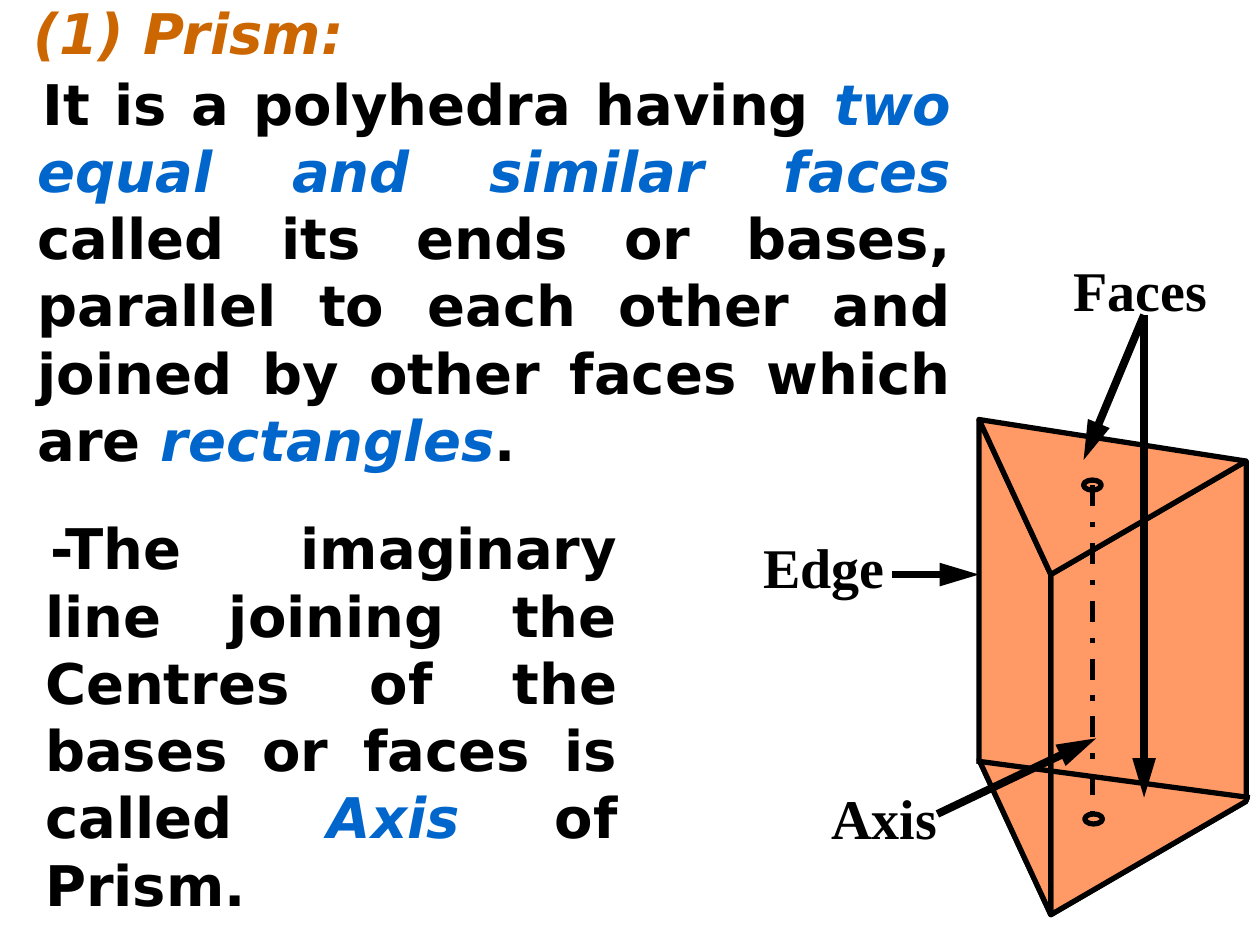
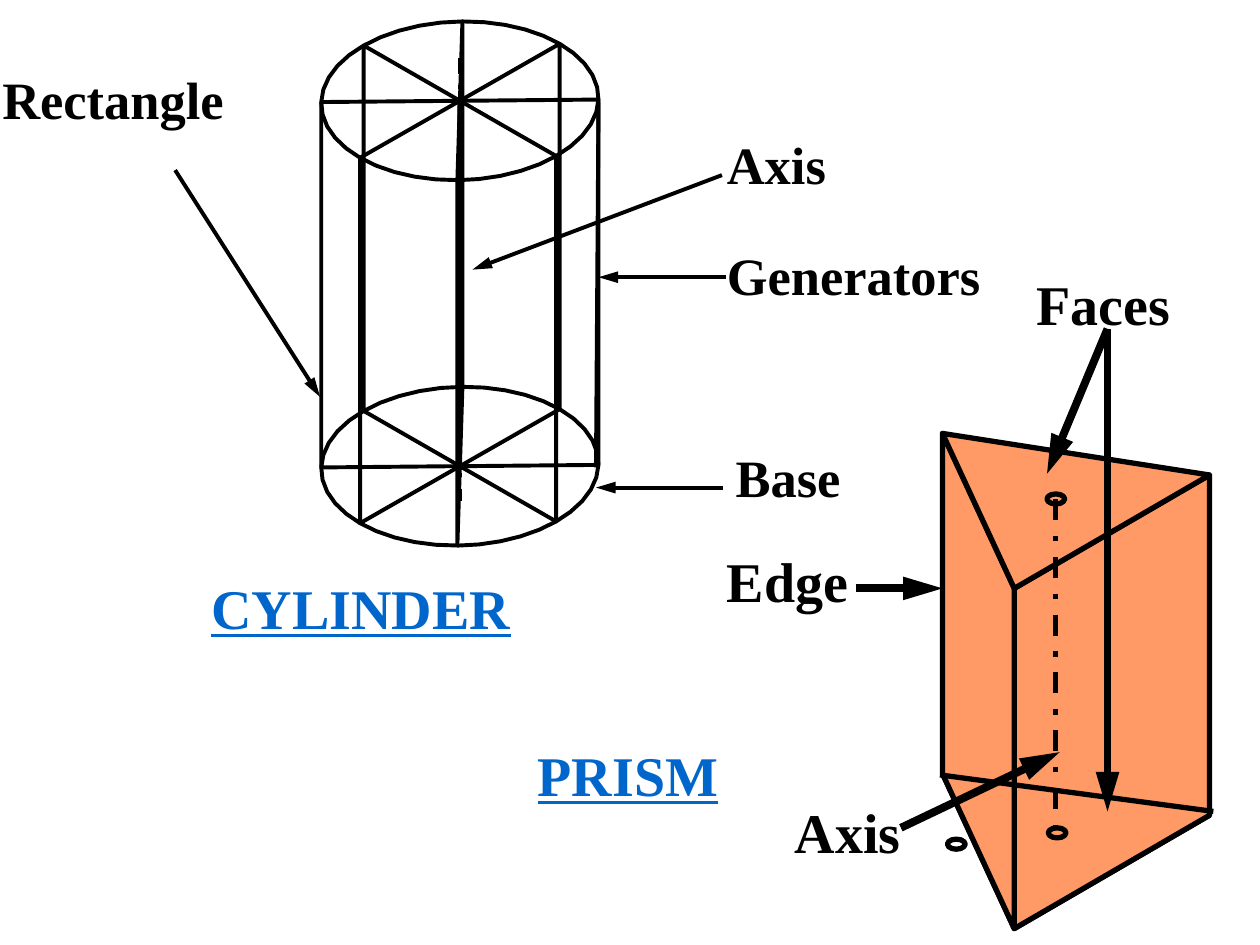
import math

import lxml.etree
import pptx
import pptx.dml.color
import pptx.enum.dml
import pptx.enum.shapes
import pptx.enum.text
import pptx.oxml.ns
import pptx.util

Inches, Pt = pptx.util.Inches, pptx.util.Pt
qn = pptx.oxml.ns.qn

# Shared look
BLACK, BLUE, BROWN, ORANGE = "000000", "0066CC", "CC6600", "FF9966"
BODY_FONT, LABEL_FONT = "DejaVu Sans", "Times New Roman"
THICK, MEDIUM, THIN = 4.5, 3, 2.25

# Cylinder geometry: centre of the top rim, its two half axes, and the height
CENTRE = (3.65, 0.8)
HALF_WIDE, HALF_DEEP = (1.1, -0.01), (-0.02, 0.63)
HEIGHT = 2.9


def color(hex_text):
    return pptx.dml.color.RGBColor.from_string(hex_text)


def add_text(s, x, y, w, h, runs, size=32, font=LABEL_FONT, fill=BLACK,
             underline=None, justify=False, indent=None):
    """Runs are plain strings, or (text, color) pairs for italic emphasis."""
    tf = s.shapes.add_textbox(Inches(x), Inches(y), Inches(w), Inches(h)).text_frame
    tf.word_wrap = True
    p = tf.paragraphs[0]
    if justify:
        p.alignment = pptx.enum.text.PP_ALIGN.JUSTIFY
    if indent:
        margin, first = indent
        p_pr = p._p.get_or_add_pPr()
        p_pr.set("marL", str(Inches(margin)))
        p_pr.set("indent", str(Inches(first)))
    for run in [runs] if isinstance(runs, str) else runs:
        emphasis = isinstance(run, tuple)
        text, run_color = run if emphasis else (run, fill)
        r = p.add_run()
        r.text = text
        r.font.name, r.font.size = font, Pt(size)
        r.font.bold, r.font.italic, r.font.underline = True, emphasis, underline
        r.font.color.rgb = color(run_color)


def add_body(s, x, y, w, h, runs, indent=(0.38, 0.04)):
    add_text(s, x, y, w, h, runs, font=BODY_FONT, justify=True, indent=indent)


def add_caption(s, x, y, w, text):
    add_text(s, x, y, w, 0.63, text, fill=BLUE, underline=True)


def outline(sp, width, fill=None):
    sp.shadow.inherit = False
    sp.line.color.rgb = color(BLACK)
    sp.line.width = Pt(width)
    if fill:
        sp.fill.solid()
        sp.fill.fore_color.rgb = color(fill)
    else:
        sp.fill.background()


def add_outline(s, points, width, fill=None, close=True):
    points = [(Inches(x), Inches(y)) for x, y in points]
    builder = s.shapes.build_freeform(*points[0], scale=1.0)
    builder.add_line_segments(points[1:], close=close)
    outline(builder.convert_to_shape(), width, fill)


def add_ring(s, x, y):
    oval = pptx.enum.shapes.MSO_SHAPE.OVAL
    sp = s.shapes.add_shape(oval, Inches(x), Inches(y), Inches(0.14), Inches(0.08))
    outline(sp, MEDIUM)


def add_line(s, start, end, width, arrow=False, dashed=False):
    straight = pptx.enum.shapes.MSO_CONNECTOR.STRAIGHT
    c = s.shapes.add_connector(straight, *map(Inches, start + end))
    c.line.color.rgb = color(BLACK)
    c.line.width = Pt(width)
    if dashed:
        c.line.dash_style = pptx.enum.dml.MSO_LINE.DASH_DOT
    if arrow:
        lxml.etree.SubElement(c.line._get_or_add_ln(), qn("a:tailEnd"),
                              type="triangle", w="med", len="lg")
    lxml.etree.SubElement(c._element.spPr, qn("a:effectLst"))


def add_prism(s, dx=0, dy=0):
    """Triangular prism with its labels, moved by (dx, dy)."""
    def at(x, y):
        return x + dx, y + dy

    top_left, top_right, top_front = at(7.77, 3.33), at(9.89, 3.66), at(8.34, 4.56)
    low_left, low_right, low_front = at(7.77, 6.03), at(9.89, 6.36), at(8.34, 7.26)
    for face in ((low_front, low_right, low_left),
                 (low_front, top_front, top_right, low_right),
                 (low_left, top_left, top_front, low_front),
                 (top_front, top_right, top_left)):
        add_outline(s, face, MEDIUM, ORANGE)

    # Axis with its end points, and the hidden edge
    add_ring(s, *at(8.6, 3.81))
    add_line(s, at(8.67, 3.85), at(8.67, 6.55), MEDIUM, dashed=True)
    add_line(s, at(7.75, 6.04), at(9.92, 6.33), MEDIUM)
    add_ring(s, *at(8.61, 6.46))

    # Labels and pointers
    for text, x, y, w in (("Axis", 6.5, 6.17, 1.17), ("Faces", 8.42, 1.98, 1.5),
                          ("Edge", 5.96, 4.18, 1.5)):
        add_text(s, *at(x, y), w, 0.63, text)
    for start, end in (((7.44, 6.46), (8.7, 5.86)), ((9.08, 2.5), (8.6, 3.65)),
                       ((9.08, 2.5), (9.08, 6.33)), ((7.08, 4.56), (7.77, 4.56))):
        add_line(s, at(*start), at(*end), THICK, arrow=True)


def rim(degrees, drop=0):
    """Point on the top rim, or on the bottom one when drop is the height."""
    cos, sin = math.cos(math.radians(degrees)), math.sin(math.radians(degrees))
    x, y = (c + cos * a + sin * b for c, a, b in zip(CENTRE, HALF_WIDE, HALF_DEEP))
    return x, y + drop


def add_cylinder(s):
    low_centre = (CENTRE[0], CENTRE[1] + HEIGHT)
    for angle in range(0, 360, 45):
        # Rectangle from the axis to the surface, then one eighth of each rim
        add_outline(s, [CENTRE, rim(angle), rim(angle, HEIGHT), low_centre], THIN)
        for drop in (0, HEIGHT):
            arc = [rim(angle + step, drop) for step in range(0, 46, 9)]
            add_outline(s, arc, THIN, close=False)
    add_line(s, (3.65, 0.46), (3.65, 3.98), THIN, dashed=True)
    add_line(s, (4.75, 0.81), (4.73, 3.71), THIN)

    # Labels and pointers
    for text, x, y, w, start, end in (
            ("Rectangle", -0.08, 0.48, 2.56, (1.39, 1.35), (2.54, 3.15)),
            ("Axis", 5.67, 1, 1.08, (5.73, 1.39), (3.75, 2.14)),
            ("Base", 5.74, 3.48, 1.08, (5.74, 3.87), (4.73, 3.87)),
            ("Generators", 5.67, 1.88, 2.22, (5.76, 2.2), (4.75, 2.2))):
        add_text(s, x, y, w, 0.6, text, size=30)
        add_line(s, start, end, THIN, arrow=True)


def main():
    prs = pptx.Presentation()
    prs.slide_width, prs.slide_height = Inches(10), Inches(7.5)
    blank = prs.slide_layouts[6]

    # Slide 1: definition of a prism
    s = prs.slides.add_slide(blank)
    add_body(s, 0.17, -0.06, 3.01, 0.63, [("(1) Prism:", BROWN)], indent=(0.38, -0.38))
    add_body(s, -0.18, 0.5, 7.83, 3.3, [
        "It is a polyhedra having ", ("two equal and similar faces", BLUE),
        " called its ends or bases, parallel to each other and joined by other"
        " faces which are ", ("rectangles", BLUE), "."])
    add_body(s, -0.12, 4.03, 5.12, 3.3, [
        "-The imaginary line joining the Centres of the bases or faces is called ",
        ("Axis", BLUE), " of Prism."])
    add_prism(s)

    # Slide 2: cylinder and prism
    s = prs.slides.add_slide(blank)
    add_ring(s, 7.52, 6.66)
    add_prism(s, dx=-0.29, dy=0.11)
    add_caption(s, 4.17, 5.83, 1.83, "PRISM")
    add_cylinder(s)
    add_caption(s, 1.58, 4.5, 2.58, "CYLINDER")

    prs.save("out.pptx")


if __name__ == "__main__":
    main()
